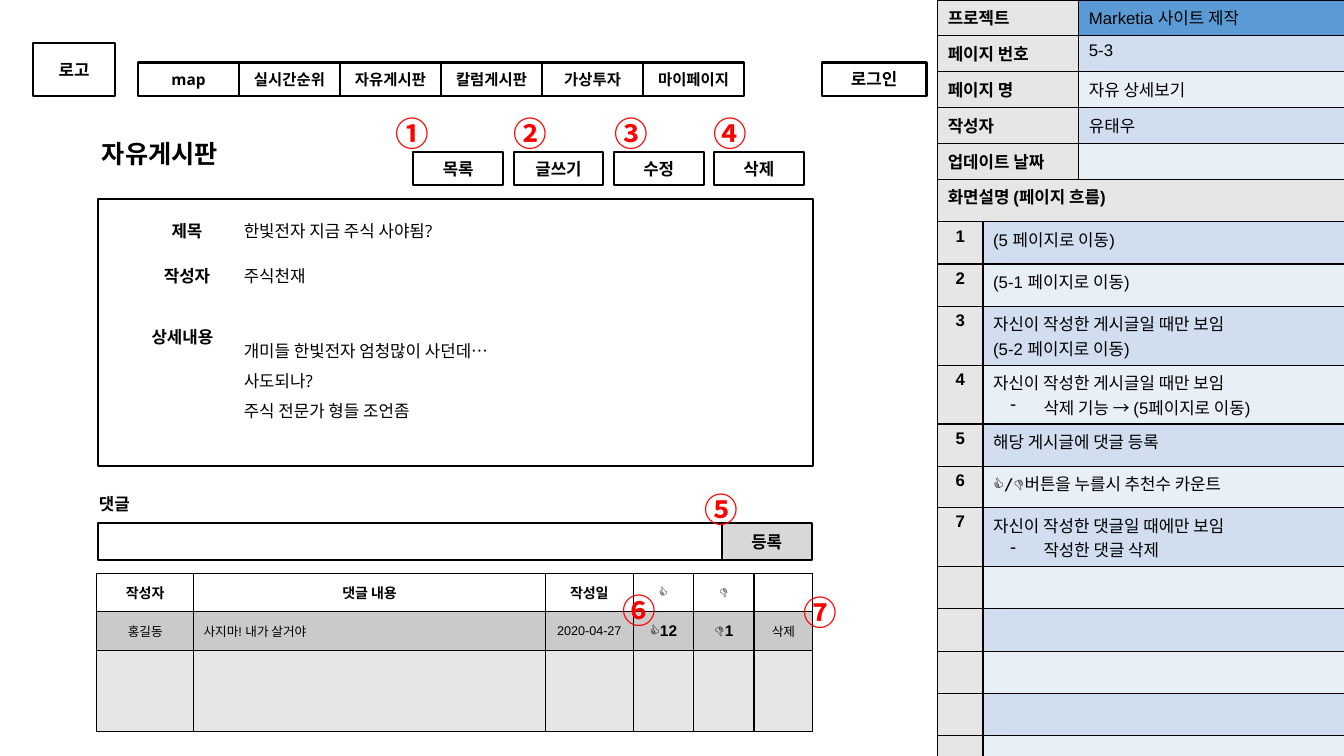
from lxml import etree
from pptx import Presentation
from pptx.dml.color import RGBColor
from pptx.enum.shapes import MSO_SHAPE
from pptx.enum.text import MSO_ANCHOR, MSO_AUTO_SIZE, PP_ALIGN
from pptx.oxml.ns import qn
from pptx.util import Inches, Pt

SANS, ARIAL, CJK = "Open Sans", "Arial", "Noto Sans CJK KR"
BLACK, WHITE, RED = "000000", "FFFFFF", "FF0000"
GREY, BUTTON_GREY, ROW_GREY = "E7E6E6", "D8D8D8", "CACACA"
BLUE, BANDS = "5B9BD5", ("D0DEEF", "E9EFF7")
LEFT, CENTER = PP_ALIGN.LEFT, PP_ALIGN.CENTER


def rgb(color):
    return RGBColor.from_string(color)


def add_run(p, text, size, bold=False, font=SANS, color=BLACK):
    r = p.add_run()
    r.text = text
    r.font.size = Pt(size)
    r.font.bold = bold
    r.font.color.rgb = rgb(color)
    r.font.name = font
    etree.SubElement(r.font._element, qn("a:ea"), typeface=CJK)


def add_dash(p):
    pPr = p._p.get_or_add_pPr()
    pPr.set("marL", str(Inches(0.5)))
    pPr.set("indent", str(Inches(-0.33)))
    etree.SubElement(pPr, qn("a:buChar"), char="-")


def write(tf, lines, size, align=LEFT, spacing=None, **style):
    for i, line in enumerate(lines):
        p = tf.add_paragraph() if i else tf.paragraphs[0]
        p.alignment = align
        if spacing:
            p.line_spacing = spacing
        if line.startswith("- "):
            add_dash(p)
            line = line[2:]
        add_run(p, line, size, **style)


def set_frame(tf, inset_y=0.1, anchor=MSO_ANCHOR.MIDDLE):
    tf.word_wrap = True
    tf.auto_size = MSO_AUTO_SIZE.NONE
    tf.vertical_anchor = anchor
    tf.margin_left = tf.margin_right = Inches(0.1)
    tf.margin_top = tf.margin_bottom = Inches(inset_y)


def add_title(s, text, x, y, w, h):
    sp = s.shapes.title
    sp.left, sp.top, sp.width, sp.height = map(Inches, (x, y, w, h))
    set_frame(sp.text_frame)
    write(sp.text_frame, [text], 18, CENTER, bold=True)


def add_text(s, lines, x, y, w, h, size=12, align=LEFT, inset_y=0.1,
             anchor=MSO_ANCHOR.MIDDLE, **style):
    tf = s.shapes.add_textbox(*map(Inches, (x, y, w, h))).text_frame
    set_frame(tf, inset_y, anchor)
    write(tf, lines, size, align, **style)


def add_box(s, x, y, w, h, text="", size=12, fill=None):
    sp = s.shapes.add_shape(MSO_SHAPE.RECTANGLE, *map(Inches, (x, y, w, h)))
    sp.shadow.inherit = False
    if fill:
        sp.fill.solid()
        sp.fill.fore_color.rgb = rgb(fill)
    else:
        sp.fill.background()
    sp.line.color.rgb = rgb(BLACK)
    sp.line.width = Pt(1.5)
    if text:
        set_frame(sp.text_frame)
        write(sp.text_frame, [text], size, CENTER, bold=True)


def add_grid(s, x, y, cols, rows):
    size = map(Inches, (x, y, sum(cols), sum(rows)))
    table = s.shapes.add_table(len(rows), len(cols), *size).table
    table.first_row = table.horz_banding = False
    for col, width in zip(table.columns, cols):
        col.width = Inches(width)
    for row, height in zip(table.rows, rows):
        row.height = Inches(height)
    return table


def fill_cell(cell, fill, lines=(), size=12, anchor=MSO_ANCHOR.TOP, font=ARIAL, **style):
    tcPr = cell._tc.get_or_add_tcPr()
    for side in ("lnL", "lnR", "lnT", "lnB"):
        ln = etree.SubElement(tcPr, qn(f"a:{side}"), w=str(Pt(1)))
        solid = etree.SubElement(ln, qn("a:solidFill"))
        etree.SubElement(solid, qn("a:srgbClr"), val=BLACK)
    cell.fill.solid()
    cell.fill.fore_color.rgb = rgb(fill)
    cell.vertical_anchor = anchor
    if lines:
        write(cell.text_frame, lines, size, font=font, **style)
    else:
        cell.margin_top = cell.margin_bottom = 0
        etree.SubElement(cell.text_frame.paragraphs[0]._p, qn("a:endParaRPr"), sz="100")


def add_page_info(s):
    info = [("프로젝트", "Marketia 사이트 제작"), ("페이지 번호", "5-3"),
            ("페이지 명", "자유 상세보기"), ("작성자", "유태우"), ("업데이트 날짜", "")]
    table = add_grid(s, 9.3, 0, [1.4, 2.64], [0.356] * len(info))
    for i, (label, value) in enumerate(info):
        fill_cell(table.cell(i, 0), GREY, [label], bold=True)
        fill_cell(table.cell(i, 1), BANDS[(i + 1) % 2] if i else BLUE, [value] if value else ())


def add_page_flow(s):
    notes = [
        ["(5 페이지로 이동)"],
        ["(5-1 페이지로 이동)"],
        ["자신이 작성한 게시글일 때만 보임", "(5-2 페이지로 이동)"],
        ["자신이 작성한 게시글일 때만 보임", "- 삭제 기능 → (5페이지로 이동)"],
        ["해당 게시글에 댓글 등록"],
        ["👍/👎버튼을 누를시 추천수 카운트"],
        ["자신이 작성한 댓글일 때에만 보임", "- 작성한 댓글 삭제"],
    ]
    rows = [0.42, 0.42, 0.42, 0.51, 0.51, 0.42, 0.41, 0.5] + [0.42] * 5
    table = add_grid(s, 9.3, 1.78, [0.45, 3.59], rows)
    table.cell(0, 0).merge(table.cell(0, 1))
    fill_cell(table.cell(0, 0), GREY, ["화면설명 (페이지 흐름)"], bold=True)
    fill_cell(table.cell(0, 1), GREY)
    for i in range(1, len(rows)):
        used = i <= len(notes)
        fill_cell(table.cell(i, 0), GREY, [str(i)] if used else (), align=CENTER, bold=True)
        fill_cell(table.cell(i, 1), BANDS[(i + 1) % 2], notes[i - 1] if used else (),
                  font="Cabin" if i == 6 else ARIAL)


def add_comments(s):
    heads = ["작성자", "댓글 내용", "작성일", "👍", "👎", ""]
    comment = ["홍길동", "사지마! 내가 살거야", "2020-04-27", "👍12", "👎1", "삭제"]
    rows = [0.38, 0.38, 0.34, 0.34, 0.13]
    table = add_grid(s, 0.96, 5.69, [0.96, 3.49, 0.87, 0.6, 0.6, 0.58], rows)
    middle = MSO_ANCHOR.MIDDLE
    for c, (head, value) in enumerate(zip(heads, comment)):
        vote = c in (3, 4)
        fill_cell(table.cell(0, c), WHITE, [head] if head else (), 10, middle,
                  align=CENTER, bold=True)
        fill_cell(table.cell(1, c), ROW_GREY, [value], 11 if vote else 9, middle,
                  align=LEFT if c == 1 else CENTER, bold=vote)
        table.cell(2, c).merge(table.cell(4, c))
        for r in range(2, len(rows)):
            fill_cell(table.cell(r, c), GREY)


def add_post(s):
    add_box(s, 0.97, 1.97, 7.09, 2.65)
    for text, x, y, w in [("제목", 1.44, 2.11, 0.83), ("작성자", 1.44, 2.55, 0.83),
                          ("상세내용", 1.29, 3.16, 1.04), ("댓글", 0.73, 4.81, 0.81)]:
        add_text(s, [text], x, y, w, 0.37, align=CENTER, bold=True)
    add_text(s, ["한빛전자 지금 주식 사야됨?"], 2.32, 2.11, 4.66, 0.37)
    add_text(s, ["주식천재"], 2.32, 2.55, 4.66, 0.37)
    body = ["개미들 한빛전자 엄청많이 사던데…", "사도되나?", "주식 전문가 형들 조언좀"]
    add_text(s, body, 2.32, 3.18, 4.67, 1.24, anchor=MSO_ANCHOR.TOP, spacing=1.5)
    add_box(s, 0.97, 5.19, 6.19, 0.37)
    add_box(s, 7.16, 5.19, 0.89, 0.37, "등록", fill=BUTTON_GREY)


def add_navigation(s):
    add_box(s, 0.33, 0.43, 0.81, 0.52, "로고")
    add_box(s, 8.15, 0.62, 1.04, 0.33, "로그인")
    menus = ["map", "실시간순위", "자유게시판", "칼럼게시판", "가상투자", "마이페이지"]
    for i, menu in enumerate(menus):
        add_box(s, 1.37 + 1.002 * i, 0.62, 1, 0.33, menu, 11)
    for i, action in enumerate(["목록", "글쓰기", "수정", "삭제"]):
        add_box(s, 4.1 + 0.994 * i, 1.51, 0.89, 0.33, action)


def add_badges(s):
    spots = [(3.82, 1.07), (4.99, 1.07), (6, 1.07), (6.98, 1.07),
             (6.89, 4.8), (6.08, 5.8), (7.87, 5.82)]
    for mark, (x, y) in zip("①②③④⑤⑥⑦", spots):
        add_text(s, [mark], x, y, 0.6, 0.5, 24, inset_y=0.05, anchor=MSO_ANCHOR.TOP,
                 bold=True, font=CJK, color=RED)


def main():
    prs = Presentation()
    prs.slide_width, prs.slide_height = Inches(13.33), Inches(7.5)
    s = prs.slides.add_slide(prs.slide_layouts[5])
    add_title(s, "자유게시판", 0.68, 1.34, 1.81, 0.37)
    add_page_info(s)
    add_page_flow(s)
    add_navigation(s)
    add_post(s)
    add_comments(s)
    add_badges(s)
    prs.save("out.pptx")


if __name__ == "__main__":
    main()
